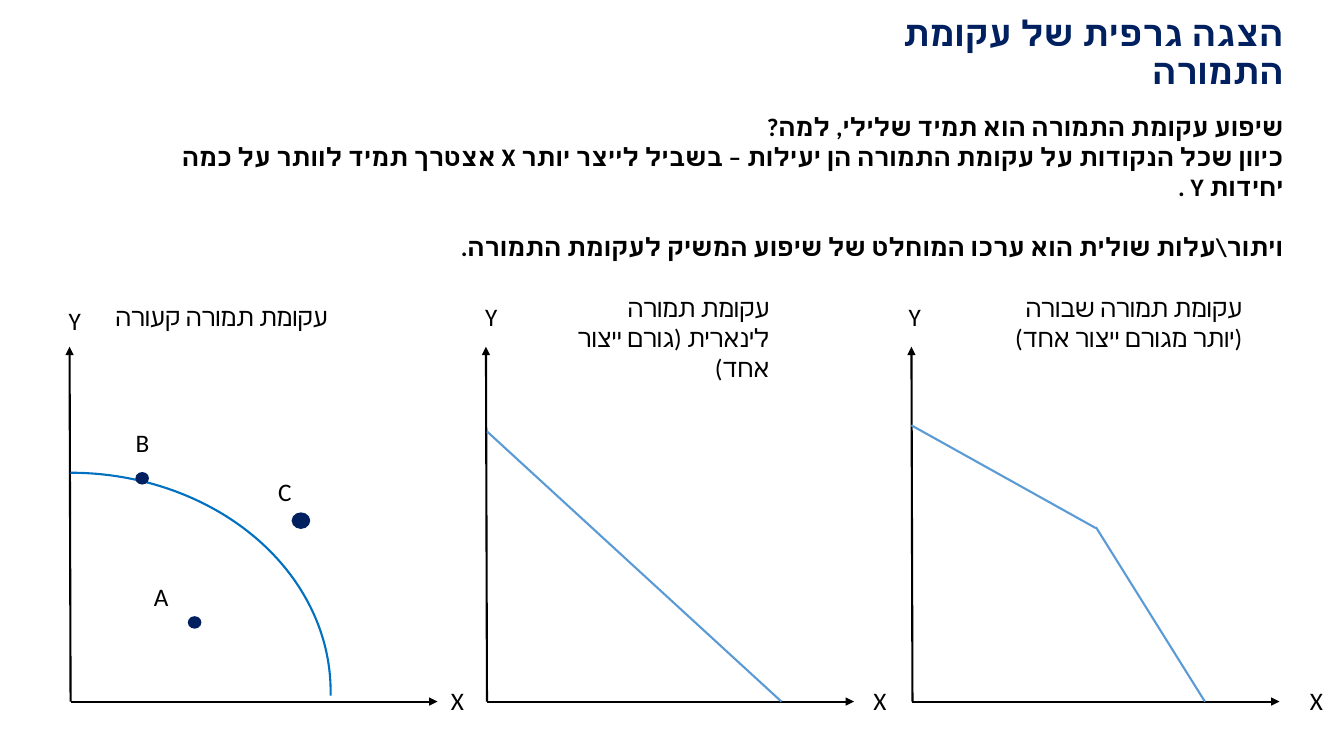
from dataclasses import dataclass

import pptx
import pptx.dml.color
import pptx.enum.shapes
import pptx.enum.text
import pptx.oxml
import pptx.oxml.ns
import pptx.util
from pptx.util import Inches

RGB = pptx.dml.color.RGBColor.from_string
SHAPES = pptx.enum.shapes.MSO_SHAPE
qn = pptx.oxml.ns.qn

Spot = tuple[float, float]


@dataclass(frozen=True)
class Theme:
    navy: str = "002060"
    black: str = "000000"
    arc_blue: str = "0070C0"
    line_blue: str = "5B9BD5"
    title_font: str = "Roboto"
    body_font: str = "Calibri"
    title_size: float = 25.2
    body_size: float = 18
    line_width: float = 1.5
    dot_line_width: float = 1


@dataclass(frozen=True)
class Box:
    left: float
    top: float
    width: float
    height: float

    def lengths(self) -> tuple:
        return tuple(Inches(v) for v in (self.left, self.top, self.width, self.height))


@dataclass(frozen=True)
class Graph:
    origin: float
    x_label: float
    y_label: Spot
    caption: str
    caption_box: Box
    curve: tuple[tuple[Spot, Spot], ...] = ()


@dataclass(frozen=True)
class Point:
    name: str
    dot: Box
    label: Spot


THEME = Theme()
AXIS_Y, AXIS_TOP, AXIS_LENGTH = 6.96, 3.44, 3.64
LABEL_HEIGHT = 0.4

TITLE = "הצגה גרפית של עקומת התמורה"
EXPLANATION = [
    "שיפוע עקומת התמורה הוא תמיד שלילי, למה?",
    "כיוון שכל הנקודות על עקומת התמורה הן יעילות – בשביל לייצר יותר X אצטרך תמיד לוותר על כמה יחידות Y .",
    "ויתור\\עלות שולית הוא ערכו המוחלט של שיפוע המשיק לעקומת התמורה.",
]
GRAPHS = [
    Graph(0.7, 4.31, (0.51, 2.98), "עקומת תמורה קעורה", Box(0.96, 2.94, 2.39, 0.4)),
    Graph(4.83, 8.5, (4.64, 2.94), "עקומת תמורה לינארית (גורם ייצור אחד)",
          Box(5.27, 2.85, 2.46, 0.7), (((4.83, 4.28), (7.75, AXIS_Y)),)),
    Graph(9.05, 12.83, (8.84, 2.94), "עקומת תמורה שבורה (יותר מגורם ייצור אחד)",
          Box(9.96, 2.85, 2.46, 0.7),
          (((9.04, 4.22), (10.87, 5.24)), ((10.87, 5.23), (11.95, AXIS_Y)))),
]
POINTS = [
    Point("A", Box(1.87, 6.12, 0.12, 0.11), (1.41, 5.72)),
    Point("B", Box(1.35, 4.69, 0.12, 0.11), (1.22, 4.19)),
    Point("C", Box(2.9, 5.09, 0.17, 0.15), (2.63, 4.68)),
]


def format_rtl(p, font: str, size: float, color: str, bold: bool = False) -> None:
    p.alignment = pptx.enum.text.PP_ALIGN.RIGHT
    p.font.name = font
    p.font.size = pptx.util.Pt(size)
    p.font.bold = bold
    p.font.color.rgb = RGB(color)
    # Right-to-left order and the font for Hebrew letters
    pPr = p._p.get_or_add_pPr()
    pPr.set("rtl", "1")
    cs = pptx.oxml.parse_xml(f'<a:cs {pptx.oxml.ns.nsdecls("a")} typeface="{font}"/>')
    pPr.find(qn("a:defRPr")).append(cs)


def add_text(s, box: Box, lines: list[str], bold: bool = False):
    tf = s.shapes.add_textbox(*box.lengths()).text_frame
    tf.word_wrap = True
    tf.auto_size = pptx.enum.text.MSO_AUTO_SIZE.SHAPE_TO_FIT_TEXT
    tf.text = "\n".join(lines)
    for p in tf.paragraphs:
        format_rtl(p, THEME.body_font, THEME.body_size, THEME.black, bold)
    return tf


def add_label(s, spot: Spot, text: str, width: float = 0.39) -> None:
    add_text(s, Box(*spot, width, LABEL_HEIGHT), [text])


def add_line(s, start: Spot, end: Spot, color: str, arrow: bool = False) -> None:
    line = s.shapes.add_connector(pptx.enum.shapes.MSO_CONNECTOR.STRAIGHT,
                                  *(Inches(v) for v in start + end))
    line.line.color.rgb = RGB(color)
    line.line.width = pptx.util.Pt(THEME.line_width)
    ns = pptx.oxml.ns.nsdecls("a")
    if arrow:
        head = pptx.oxml.parse_xml(f'<a:tailEnd {ns} type="triangle"/>')
        line.line._get_or_add_ln().append(head)
    line._element.spPr.append(pptx.oxml.parse_xml(f"<a:effectLst {ns}/>"))


def add_graph(s, graph: Graph) -> None:
    origin = (graph.origin, AXIS_Y)
    add_line(s, origin, (graph.origin + AXIS_LENGTH, AXIS_Y), THEME.black, arrow=True)
    add_line(s, origin, (graph.origin - 0.01, AXIS_TOP), THEME.black, arrow=True)
    for start, end in graph.curve:
        add_line(s, start, end, THEME.line_blue)
    add_label(s, (graph.x_label, 6.75), "X")
    add_label(s, graph.y_label, "Y")
    add_text(s, graph.caption_box, [graph.caption])


def add_arc(s, box: Box) -> None:
    arc = s.shapes.add_shape(SHAPES.ARC, *box.lengths())
    arc.shadow.inherit = False
    arc.adjustments[0] = 162
    arc.adjustments[1] = 0.56
    arc.fill.background()
    arc.line.color.rgb = RGB(THEME.arc_blue)
    arc.line.width = pptx.util.Pt(THEME.line_width)


def add_point(s, point: Point) -> None:
    dot = s.shapes.add_shape(SHAPES.OVAL, *point.dot.lengths())
    dot.shadow.inherit = False
    dot.fill.solid()
    dot.fill.fore_color.rgb = RGB(THEME.navy)
    dot.line.color.rgb = RGB(THEME.navy)
    dot.line.width = pptx.util.Pt(THEME.dot_line_width)
    add_label(s, point.label, point.name, 0.36)


def add_title(s, box: Box) -> None:
    title = s.shapes.title
    title.left, title.top, title.width, title.height = box.lengths()
    tf = title.text_frame
    tf.text = TITLE
    tf.word_wrap = True
    tf.auto_size = pptx.enum.text.MSO_AUTO_SIZE.NONE
    tf.vertical_anchor = pptx.enum.text.MSO_ANCHOR.MIDDLE
    p = tf.paragraphs[0]
    p.line_spacing = 0.9
    format_rtl(p, THEME.title_font, THEME.title_size, THEME.navy, bold=True)


def main() -> None:
    prs = pptx.Presentation()
    prs.slide_width, prs.slide_height = Inches(13.33), Inches(7.5)
    s = prs.slides.add_slide(prs.slide_layouts.get_by_name("Title Only"))

    # Title and explanation
    add_title(s, Box(8.31, 0.13, 4.52, 0.81))
    tf = add_text(s, Box(1.35, 1.05, 11.48, 1.31), EXPLANATION, bold=True)
    tf.paragraphs[-1].space_before = pptx.util.Pt(21.6)

    # Three graphs: concave, linear and broken
    for graph in GRAPHS:
        add_graph(s, graph)

    # Concave curve and the points around it
    add_arc(s, Box(-1.88, 4.69, 5.16, 4.34))
    for point in POINTS:
        add_point(s, point)

    prs.save("out.pptx")


if __name__ == "__main__":
    main()
